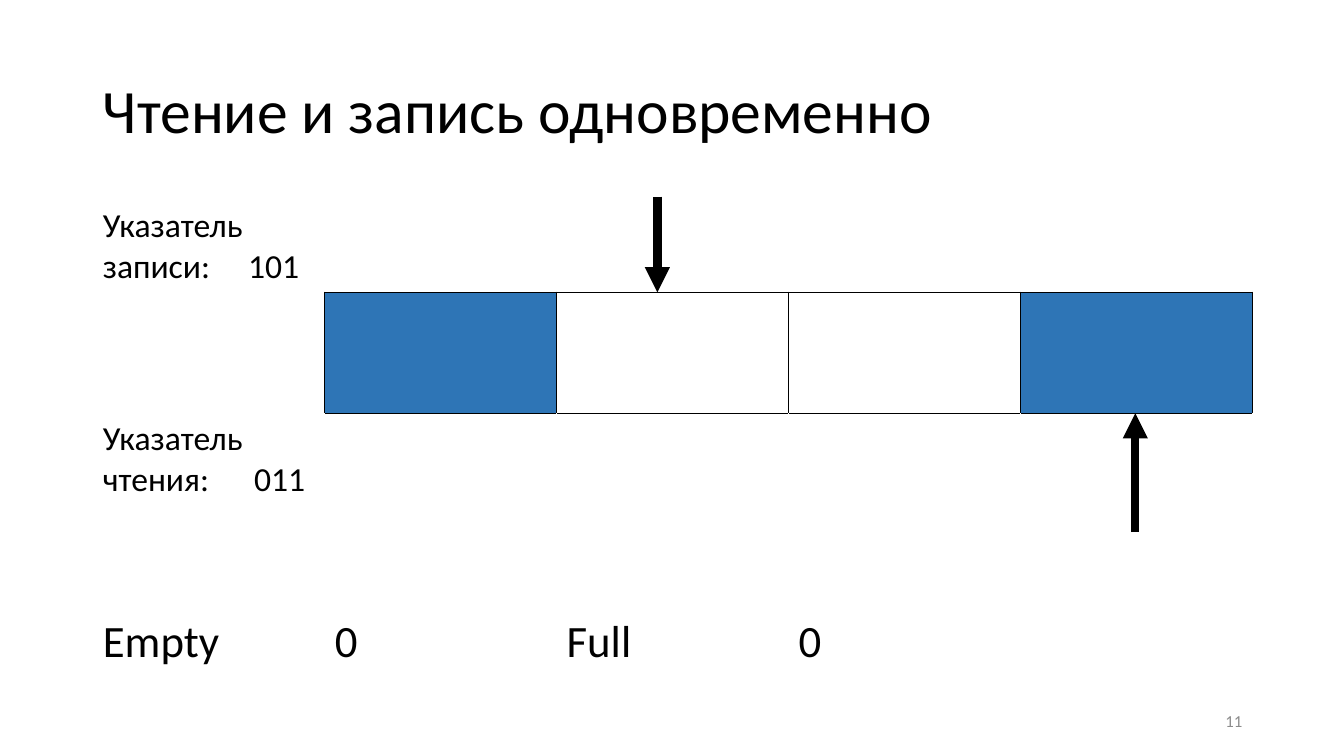
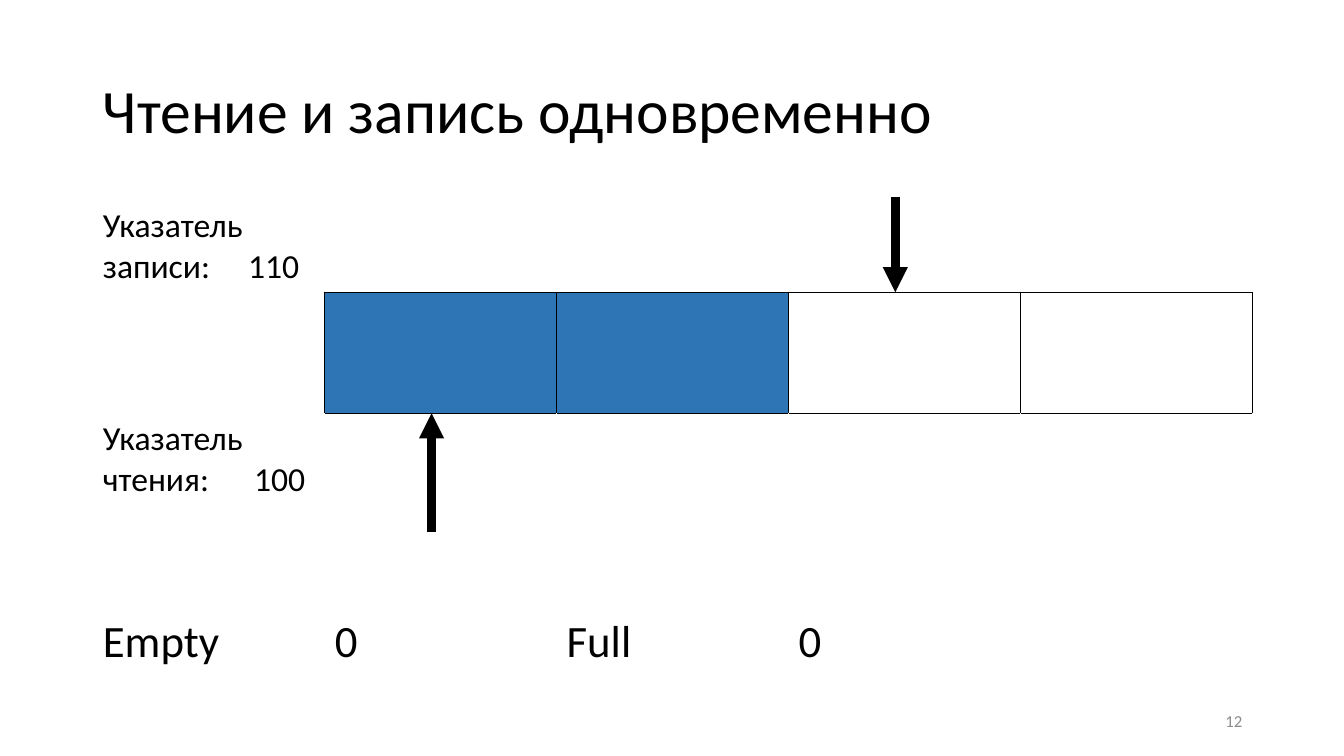
from dataclasses import dataclass

from lxml.etree import SubElement
from pptx import Presentation
from pptx.dml.color import RGBColor
from pptx.enum.shapes import MSO_CONNECTOR
from pptx.enum.text import MSO_ANCHOR, PP_ALIGN
from pptx.oxml.ns import qn
from pptx.slide import Slide
from pptx.table import Table, _Cell
from pptx.text.text import _Paragraph
from pptx.util import Inches, Pt

FONT = "Calibri"
COLORS = {"text": "000000", "line": "000000", "filled": "2E75B6", "number": "8C8C8C"}
TITLE = "Чтение и запись одновременно"
LEFT, WIDTH = 0.92, 11.5
COLUMN_COUNT = 5
TABLE_TOP = 1.7
ROW_HEIGHTS = (1.2, 1.2, 1.39, 1.2)
BUFFER_ROW = 1
BUFFER_TOP = TABLE_TOP + ROW_HEIGHTS[0]
BUFFER_BOTTOM = BUFFER_TOP + ROW_HEIGHTS[1]
FLAGS = ("Empty", "0", "Full", "0")


@dataclass(frozen=True)
class BufferState:
    number: int
    write_pointer: str
    read_pointer: str
    filled_columns: tuple[int, ...]
    write_x: float
    read_x: float


STATES = (
    BufferState(11, "101", "011", (1, 4), 6.52, 11.26),
    BufferState(12, "110", "100", (1, 2), 8.88, 4.28),
)


def color(name: str) -> RGBColor:
    return RGBColor.from_string(COLORS[name])


def format_paragraph(paragraph: _Paragraph, size: float, color_name: str = "text") -> None:
    paragraph.font.name = FONT
    paragraph.font.size = Pt(size)
    paragraph.font.color.rgb = color(color_name)


def add_title(slide: Slide) -> None:
    title = slide.shapes.title
    title.left, title.top = Inches(LEFT), Inches(0.4)
    title.width, title.height = Inches(WIDTH), Inches(1.45)
    title.text_frame.text = TITLE
    title.text_frame.vertical_anchor = MSO_ANCHOR.MIDDLE
    paragraph = title.text_frame.paragraphs[0]
    paragraph.alignment = PP_ALIGN.LEFT
    paragraph.line_spacing = 0.9
    format_paragraph(paragraph, 44)


def add_tab_stop(paragraph: _Paragraph, position: float) -> None:
    tabs = SubElement(paragraph._p.get_or_add_pPr(), qn("a:tabLst"))
    SubElement(tabs, qn("a:tab"), pos=str(Inches(position)), algn="l")


def write_cell(cell: _Cell, text: str, size: float, anchor: MSO_ANCHOR,
               tab_position: float | None = None) -> None:
    cell.text = text
    cell.vertical_anchor = anchor
    paragraph = cell.text_frame.paragraphs[0]
    if tab_position is not None:
        add_tab_stop(paragraph, tab_position)
    format_paragraph(paragraph, size)


def add_borders(cell: _Cell, sides: str) -> None:
    properties = cell._tc.get_or_add_tcPr()
    for side in sides:
        line = SubElement(properties, qn(f"a:ln{side}"), w=str(Pt(1)))
        fill = SubElement(line, qn("a:solidFill"))
        SubElement(fill, qn("a:srgbClr"), val=COLORS["line"])


def border_sides(row: int, column: int) -> str:
    if column == 0:
        return "R" if row == BUFFER_ROW else ""
    return {BUFFER_ROW - 1: "B", BUFFER_ROW: "LRTB", BUFFER_ROW + 1: "T"}.get(row, "")


def style_cells(table: Table, filled_columns: tuple[int, ...]) -> None:
    for row in range(len(ROW_HEIGHTS)):
        for column in range(COLUMN_COUNT):
            cell = table.cell(row, column)
            add_borders(cell, border_sides(row, column))
            if row == BUFFER_ROW and column in filled_columns:
                cell.fill.solid()
                cell.fill.fore_color.rgb = color("filled")
            else:
                cell.fill.background()


def add_buffer_table(slide: Slide, state: BufferState) -> None:
    table = slide.shapes.add_table(
        len(ROW_HEIGHTS), COLUMN_COUNT, Inches(LEFT), Inches(TABLE_TOP),
        Inches(WIDTH), Inches(sum(ROW_HEIGHTS)),
    ).table
    table.first_row = False
    table.horz_banding = False
    for column in table.columns:
        column.width = Inches(WIDTH / COLUMN_COUNT)
    for row, height in zip(table.rows, ROW_HEIGHTS):
        row.height = Inches(height)
    style_cells(table, state.filled_columns)
    write_cell(table.cell(0, 0), f"Указатель записи:\t{state.write_pointer}", 24,
               MSO_ANCHOR.BOTTOM, 1.44)
    write_cell(table.cell(2, 0), f"Указатель чтения:\t{state.read_pointer}", 24,
               MSO_ANCHOR.TOP, 1.5)
    for column, text in enumerate(FLAGS):
        write_cell(table.cell(3, column), text, 32, MSO_ANCHOR.BOTTOM)


def add_arrow(slide: Slide, x: float, start: float, end: float) -> None:
    arrow = slide.shapes.add_connector(
        MSO_CONNECTOR.STRAIGHT, Inches(x), Inches(start), Inches(x), Inches(end))
    arrow.line.color.rgb = color("line")
    arrow.line.width = Pt(6)
    SubElement(arrow.line._get_or_add_ln(), qn("a:tailEnd"), type="triangle")
    SubElement(arrow._element.spPr, qn("a:effectLst"))


def add_slide_number(slide: Slide, number: int) -> None:
    box = slide.shapes.add_textbox(Inches(9.42), Inches(6.95), Inches(3), Inches(0.4))
    frame = box.text_frame
    frame.word_wrap = True
    frame.vertical_anchor = MSO_ANCHOR.MIDDLE
    frame.text = str(number)
    paragraph = frame.paragraphs[0]
    paragraph.alignment = PP_ALIGN.RIGHT
    format_paragraph(paragraph, 12, "number")


def main() -> None:
    presentation = Presentation()
    presentation.slide_width, presentation.slide_height = Inches(13.33), Inches(7.5)
    for state in STATES:
        slide = presentation.slides.add_slide(presentation.slide_layouts[5])
        add_title(slide)
        add_buffer_table(slide, state)
        add_arrow(slide, state.write_x, 1.95, BUFFER_TOP)
        add_arrow(slide, state.read_x, 5.28, BUFFER_BOTTOM)
        add_slide_number(slide, state.number)
    presentation.save("out.pptx")


if __name__ == "__main__":
    main()
